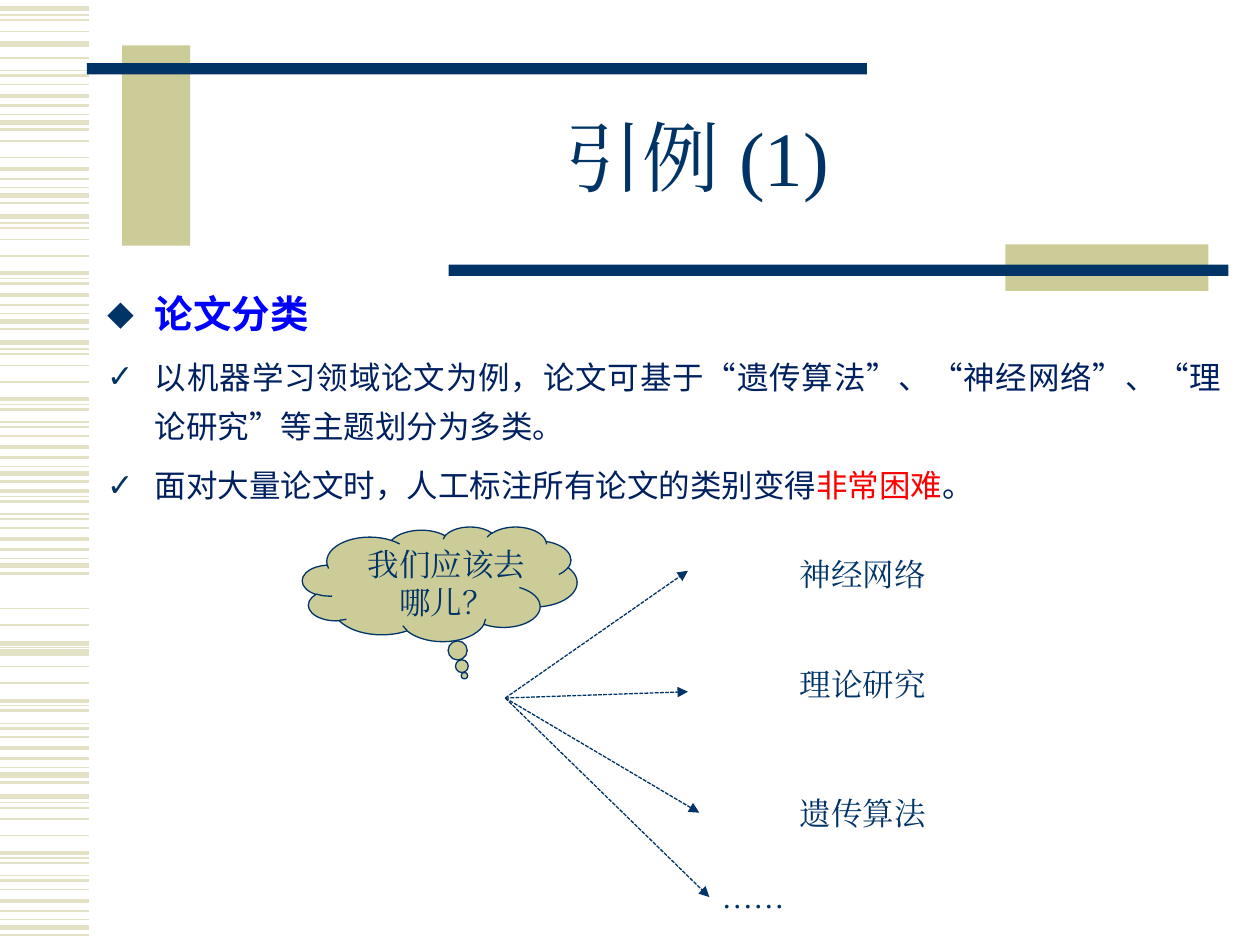
from pptx import Presentation
from pptx.dml.color import RGBColor as Color
from pptx.enum.dml import MSO_LINE_DASH_STYLE as Dash
from pptx.enum.shapes import MSO_CONNECTOR_TYPE as Connector, MSO_SHAPE as Shape
from pptx.enum.text import MSO_ANCHOR as Anchor, MSO_AUTO_SIZE as AutoSize, PP_ALIGN as Align
from pptx.oxml.ns import qn
from pptx.util import Inches, Pt
from lxml.etree import SubElement

WIDTH, HEIGHT = Inches(10), Inches(7.5)
COLUMN, ROW = WIDTH / 100, HEIGHT / 75
COLORS = {"navy": "003366", "sand": "CCCC99", "stripe": "E3E2C7",
          "heading": "0000FF", "body": "002060", "alert": "FF0000"}
SERIF, SANS = "Times New Roman", "Noto Sans CJK SC"

STRIPE_PATTERN = [(0, 3), (0.5, 0.75), (0.9, 1), (1.8, 1), (3.1, 1), (4.5, 2.25),
                  (4.9, 0.75), (5.3, 1.5), (6.3, 0.75), (6.7, 1.5), (7.4, 1),
                  (8.3, 2.25), (9.1, 1.5), (9.8, 0.75), (10.4, 3), (11, 1.5)]
STRIPE_BLOCKS = [(0.7, 0, 4), (3.5, 0, 1), (-0.7, 7, 16), (8.1, 4, 5), (5.1, 10, 16),
                 (17.2, 0, 8), (15.1, 11, 16), (27.2, 0, 16), (34.5, 5, 16),
                 (46.5, 3, 8), (51.1, 0, 16), (63.2, 0, 16)]
BARS = [(9.7, 3.6, 5.4, 15.9, "sand"), (6.9, 5, 61.9, 0.9, "navy"),
        (79.8, 19.4, 16.1, 3.7, "sand"), (35.6, 21, 61.9, 0.9, "navy")]
ARROW_START = (40.1, 55.4)
ARROW_ENDS = [(54.6, 45.3), (54.6, 54.9), (55.5, 64.5), (56.3, 71.2)]
TOPICS = [("神经网络", 62.5, 43.6), ("理论研究", 62.5, 52.3),
          ("遗传算法", 62.5, 62.5), ("……", 56.3, 69.1)]


def color(name):
    return Color.from_string(COLORS[name])


def grid(left, top, width, height):
    return (round(left * COLUMN), round(top * ROW),
            round(width * COLUMN), round(height * ROW))


def add_line(slide, start, end, color_name, weight):
    line = slide.shapes.add_connector(Connector.STRAIGHT, *grid(*start, *end))
    line.line.color.rgb = color(color_name)
    line.line.width = Pt(weight)
    SubElement(line._element.spPr, qn("a:effectLst"))
    return line


def add_arrow(slide, start, end):
    arrow = add_line(slide, start, end, "navy", 0.75)
    arrow.line.dash_style = Dash.SQUARE_DOT
    SubElement(arrow.line._get_or_add_ln(), qn("a:tailEnd"), type="triangle")


def add_filled_shape(slide, kind, area, color_name):
    shape = slide.shapes.add_shape(kind, *grid(*area))
    shape.shadow.inherit = False
    shape.fill.solid()
    shape.fill.fore_color.rgb = color(color_name)
    shape.line.fill.background()
    return shape


def add_run(paragraph, text, size, color_name, font=SERIF, bold=False):
    run = paragraph.add_run()
    run.text = text
    run.font.size = Pt(size)
    run.font.bold = bold
    run.font.name = font
    run.font.color.rgb = color(color_name)
    SubElement(run._r.get_or_add_rPr(), qn("a:ea"), typeface=font)


def add_label(slide, text, area, align=Align.LEFT):
    frame = slide.shapes.add_textbox(*grid(*area)).text_frame
    frame.word_wrap = True
    paragraph = frame.paragraphs[0]
    paragraph.alignment = align
    add_run(paragraph, text, 18, "navy")


def move(shape, area):
    shape.left, shape.top, shape.width, shape.height = grid(*area)
    shape.text_frame.auto_size = AutoSize.NONE
    return shape.text_frame


def set_bullet(paragraph, character):
    properties = paragraph._p.get_or_add_pPr()
    properties.set("marL", str(Inches(0.38)))
    properties.set("indent", str(-Inches(0.38)))
    bullet_color = SubElement(properties, qn("a:buClr"))
    SubElement(bullet_color, qn("a:srgbClr"), val=COLORS["navy"])
    SubElement(properties, qn("a:buChar"), char=character)


def add_check_item(frame, parts, before):
    paragraph = frame.add_paragraph()
    set_bullet(paragraph, "✓")
    paragraph.alignment = Align.JUSTIFY
    paragraph.line_spacing = Pt(28)
    paragraph.space_before = Pt(before)
    paragraph.space_after = Pt(6)
    for text, color_name in parts:
        add_run(paragraph, text, 18, color_name, SANS)


def add_decoration(slide):
    for top, first, last in STRIPE_BLOCKS:
        for offset, weight in STRIPE_PATTERN[first:last]:
            add_line(slide, (0, top + offset), (7.1, top + offset), "stripe", weight)
    for *area, color_name in BARS:
        add_filled_shape(slide, Shape.RECTANGLE, area, color_name)


def fill_title(slide):
    frame = move(slide.shapes.title, (15, 6.7, 80.7, 12.5))
    frame.vertical_anchor = Anchor.MIDDLE
    paragraph = frame.paragraphs[0]
    paragraph.alignment = Align.CENTER
    paragraph.line_spacing = 0.85
    add_run(paragraph, "引例 (1)", 44, "navy")


def fill_body(slide):
    frame = move(slide.placeholders[1], (7.5, 22.5, 90.5, 17.4))
    heading = frame.paragraphs[0]
    set_bullet(heading, "⬥")
    heading.space_before = Pt(0)
    add_run(heading, "论文分类", 22, "heading", SANS, True)
    add_check_item(frame, [("以机器学习领域论文为例，论文可基于“遗传算法”、“神经网络”、"
                            "“理论研究”等主题划分为多类。", "body")], 6)
    add_check_item(frame, [("面对大量论文时，人工标注所有论文的类别变得", "body"),
                           ("非常困难", "alert"), ("。", "body")], 0)


def add_question_cloud(slide):
    cloud = add_filled_shape(slide, Shape.CLOUD_CALLOUT, (24, 41.8, 21.8, 9.1), "sand")
    cloud.adjustments[0], cloud.adjustments[1] = 0.09, 0.8
    cloud.line.color.rgb = color("navy")
    cloud.line.width = Pt(0.75)
    add_label(slide, "我们应该去哪儿？", (28.1, 42.8, 14.7, 7.1), Align.CENTER)


def main():
    presentation = Presentation()
    presentation.slide_width, presentation.slide_height = WIDTH, HEIGHT
    slide = presentation.slides.add_slide(presentation.slide_layouts[1])
    add_decoration(slide)
    fill_title(slide)
    fill_body(slide)
    add_question_cloud(slide)
    for end in ARROW_ENDS:
        add_arrow(slide, ARROW_START, end)
    for text, left, top in TOPICS:
        add_label(slide, text, (left, top, 14.7, 4))
    presentation.save("out.pptx")


if __name__ == "__main__":
    main()
